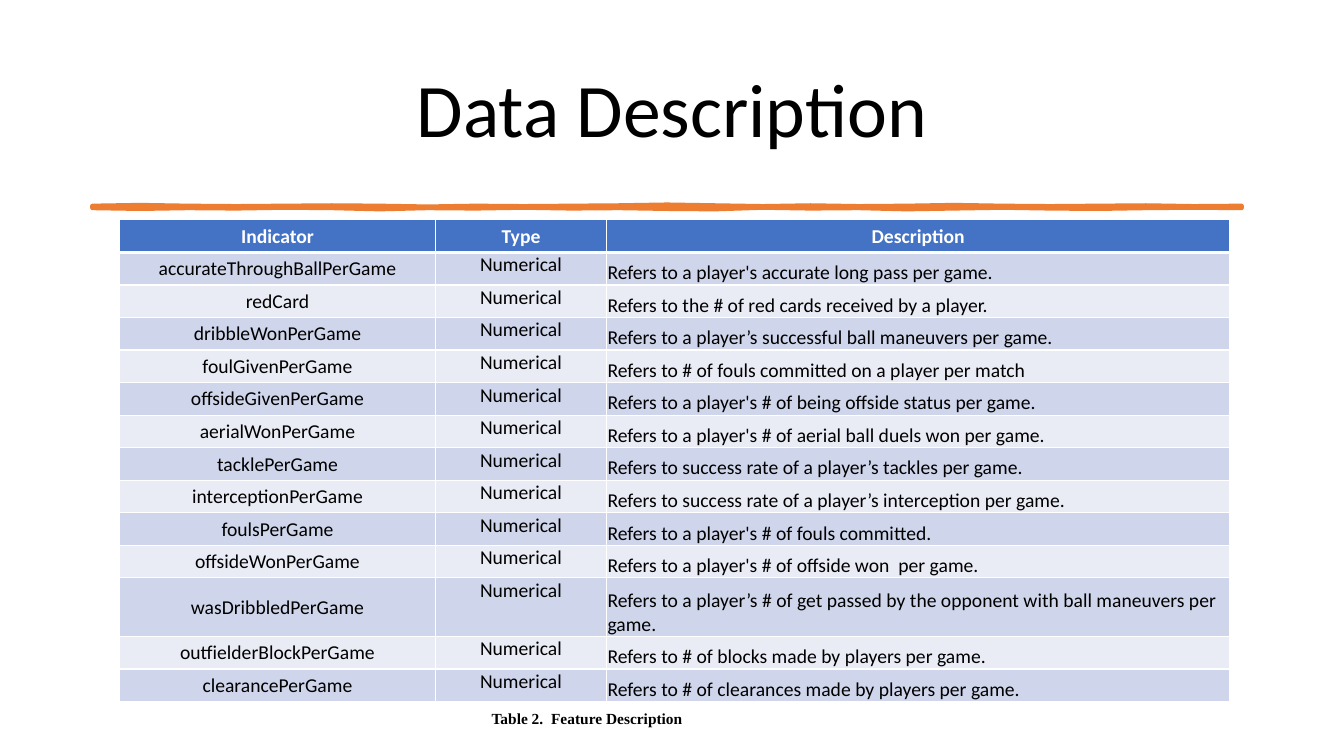
from dataclasses import dataclass
from typing import Optional

import lxml.etree
import pptx
import pptx.dml.color
import pptx.enum.text
import pptx.oxml.ns
import pptx.presentation
import pptx.shapes.autoshape
import pptx.slide
import pptx.table
import pptx.text.text
import pptx.util
from pptx.util import Cm

ALIGN = pptx.enum.text.PP_ALIGN
ANCHOR = pptx.enum.text.MSO_ANCHOR


@dataclass(frozen=True)
class Theme:
    ink: str = "000000"
    paper: str = "FFFFFF"
    accent: str = "ED7D31"
    header: str = "4472C4"
    bands: tuple[str, str] = ("CFD5EA", "E9EBF5")
    body_font: str = "Calibri"
    caption_font: str = "Times New Roman"
    title_size: float = 54
    table_size: float = 14
    caption_size: float = 11
    stroke: float = 3.25
    grid_line: float = 1
    header_line: float = 3


@dataclass(frozen=True)
class Column:
    heading: str
    width: float
    align: ALIGN
    anchor: ANCHOR


@dataclass(frozen=True)
class Feature:
    indicator: str
    description: str
    height: float = 0.82
    kind: str = "Numerical"


THEME = Theme()
HEADER_HEIGHT = 0.82
COLUMNS = (
    Column("Indicator", 7.95, ALIGN.CENTER, ANCHOR.MIDDLE),
    Column("Type", 4.32, ALIGN.CENTER, ANCHOR.TOP),
    Column("Description", 15.7, ALIGN.LEFT, ANCHOR.BOTTOM),
)
FEATURES = (
    Feature("accurateThroughBallPerGame", "Refers to a player's accurate long pass per game."),
    Feature("redCard", "Refers to the # of red cards received by a player."),
    Feature("dribbleWonPerGame", "Refers to a player’s successful ball maneuvers per game."),
    Feature("foulGivenPerGame", "Refers to # of fouls committed on a player per match"),
    Feature("offsideGivenPerGame", "Refers to a player's # of being offside status per game."),
    Feature("aerialWonPerGame", "Refers to a player's # of aerial ball duels won per game."),
    Feature("tacklePerGame", "Refers to success rate of a player’s tackles per game."),
    Feature("interceptionPerGame", "Refers to success rate of a player’s interception per game."),
    Feature("foulsPerGame", "Refers to a player's # of fouls committed."),
    Feature("offsideWonPerGame", "Refers to a player's # of offside won  per game."),
    Feature(
        "wasDribbledPerGame",
        "Refers to a player’s # of get passed by the opponent with ball maneuvers per game.",
        height=1.48,
    ),
    Feature("outfielderBlockPerGame", "Refers to # of blocks made by players per game."),
    Feature("clearancePerGame", "Refers to # of clearances made by players per game."),
)
# Wobble of the brush stroke's edges, in hundredths of a centimetre, at equal steps.
UPPER_EDGE = (0, -2, 0, 1, 0, -1, 0, 2, 0, 1, 0, -1, -3, -1, 1, -1, 1, 0, -2, 0, 1, 0, -1, 1, 0)
LOWER_EDGE = (5, 7, 5, 6, 4, 5, 8, 5, 6, 4, 6, 5, 7, 8, 4, 6, 5, 8, 6, 4, 6, 7, 5, 4, 5)


def color(code: str) -> pptx.dml.color.RGBColor:
    return pptx.dml.color.RGBColor.from_string(code)


def write(
    frame: pptx.text.text.TextFrame,
    text: str,
    *,
    size: float,
    font: str = THEME.body_font,
    ink: str = THEME.ink,
    bold: bool = False,
    align: ALIGN = ALIGN.LEFT,
    spacing: Optional[float] = None,
) -> None:
    frame.word_wrap = True
    paragraph = frame.paragraphs[0]
    paragraph.alignment = align
    paragraph.line_spacing = spacing
    run = paragraph.add_run()
    run.text = text
    run.font.name = font
    run.font.size = pptx.util.Pt(size)
    run.font.bold = bold
    run.font.color.rgb = color(ink)


def add_border(cell: pptx.table._Cell, side: str, width: float) -> None:
    """Draw one side (L, R, T or B) of a cell in the paper colour."""
    name = pptx.oxml.ns.qn
    properties = cell._tc.get_or_add_tcPr()
    line = lxml.etree.SubElement(properties, name(f"a:ln{side}"), w=str(pptx.util.Pt(width)))
    fill = lxml.etree.SubElement(line, name("a:solidFill"))
    lxml.etree.SubElement(fill, name("a:srgbClr"), val=THEME.paper)


def fill_cell(cell: pptx.table._Cell, text: str, row: int, column: Column) -> None:
    is_header = row == 0
    thick_side = {0: "B", 1: "T"}.get(row)
    for side in "LRTB":
        add_border(cell, side, THEME.header_line if side == thick_side else THEME.grid_line)
    cell.fill.solid()
    cell.fill.fore_color.rgb = color(THEME.header if is_header else THEME.bands[(row - 1) % 2])
    cell.margin_left = cell.margin_right = cell.margin_top = Cm(0.02)
    cell.margin_bottom = 0
    cell.vertical_anchor = ANCHOR.MIDDLE if is_header else column.anchor
    write(
        cell.text_frame,
        text,
        size=THEME.table_size,
        ink=THEME.paper if is_header else THEME.ink,
        bold=is_header,
        align=ALIGN.CENTER if is_header else column.align,
    )


def add_title(slide: pptx.slide.Slide) -> None:
    title = slide.shapes.title
    title.left, title.top, title.width, title.height = Cm(2.33), Cm(1.01), Cm(29.21), Cm(3.68)
    title.text_frame.vertical_anchor = ANCHOR.MIDDLE
    write(title.text_frame, "Data Description", size=THEME.title_size, align=ALIGN.CENTER, spacing=0.9)


def add_brush_stroke(slide: pptx.slide.Slide) -> None:
    left, top, width = 2.33, 5.19, 28.96
    step = width / (len(UPPER_EDGE) - 1)
    upper, lower = (
        [(Cm(left + index * step), Cm(top + offset / 100)) for index, offset in enumerate(edge)]
        for edge in (UPPER_EDGE, LOWER_EDGE)
    )
    builder = slide.shapes.build_freeform(*upper[0])
    builder.add_line_segments(upper[1:] + lower[::-1], close=True)
    stroke = builder.convert_to_shape()
    stroke.shadow.inherit = False
    stroke.fill.solid()
    stroke.fill.fore_color.rgb = color(THEME.accent)
    stroke.line.color.rgb = color(THEME.accent)
    stroke.line.width = pptx.util.Pt(THEME.stroke)


def add_feature_table(slide: pptx.slide.Slide) -> None:
    heights = [HEADER_HEIGHT] + [feature.height for feature in FEATURES]
    texts = [[column.heading for column in COLUMNS]]
    texts += [[feature.indicator, feature.kind, feature.description] for feature in FEATURES]
    width = sum(column.width for column in COLUMNS)
    table = slide.shapes.add_table(
        len(texts), len(COLUMNS), Cm(3.02), Cm(5.54), Cm(width), Cm(sum(heights))
    ).table
    table.horz_banding = False
    for index, column in enumerate(COLUMNS):
        table.columns[index].width = Cm(column.width)
    for row, (height, row_texts) in enumerate(zip(heights, texts)):
        table.rows[row].height = Cm(height)
        for index, (text, column) in enumerate(zip(row_texts, COLUMNS)):
            fill_cell(table.cell(row, index), text, row, column)


def add_caption(slide: pptx.slide.Slide) -> None:
    caption = slide.shapes.add_textbox(Cm(12.14), Cm(17.75), Cm(16.92), Cm(0.74))
    write(
        caption.text_frame,
        "Table 2.  Feature Description",
        size=THEME.caption_size,
        font=THEME.caption_font,
        bold=True,
    )


def main() -> None:
    presentation = pptx.Presentation()
    presentation.slide_width, presentation.slide_height = Cm(33.87), Cm(19.05)
    slide = presentation.slides.add_slide(presentation.slide_layouts.get_by_name("Title Only"))
    add_title(slide)
    add_brush_stroke(slide)
    add_feature_table(slide)
    add_caption(slide)
    presentation.save("out.pptx")


if __name__ == "__main__":
    main()
